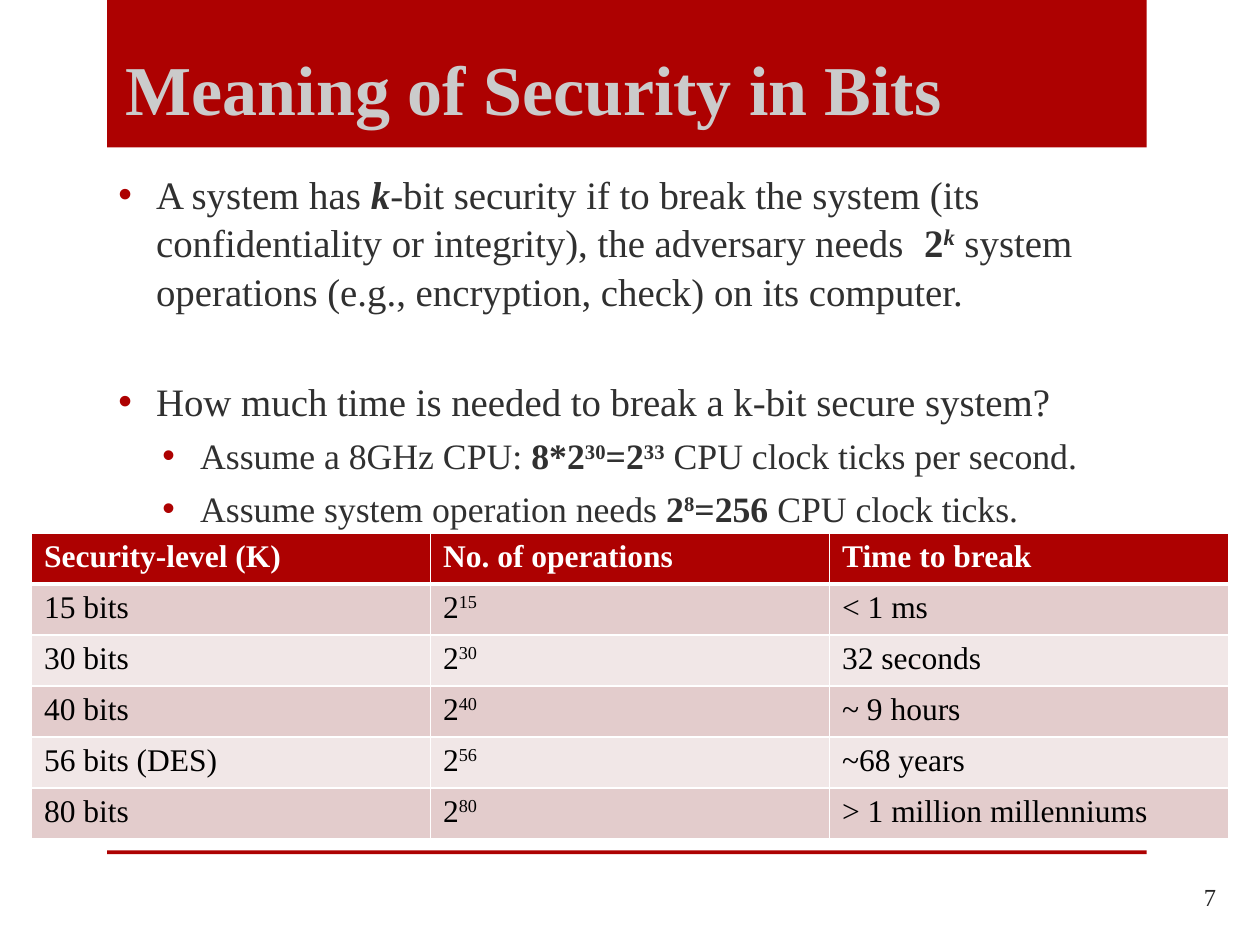
"""Build the slide on the meaning of security in bits."""
from lxml import etree
from pptx import Presentation
from pptx import util as u
from pptx.dml.color import RGBColor
from pptx.enum import shapes, text
from pptx.oxml import ns

RED, WHITE = "AD0101", "FFFFFF"
FONT = "Times New Roman"


def paint(target, color):
    if hasattr(target, "solid"):
        target.solid()
        target = target.fore_color
    else:
        target = target.color
    target.rgb = RGBColor.from_string(color)


def write(paragraph, runs, size, color, bold=False):
    for words, style in runs:
        run = paragraph.add_run()
        run.text = words
        formats = {"name": FONT, "size": u.Pt(size),
                   "bold": bold or "b" in style, "italic": "i" in style}
        for key, value in formats.items():
            setattr(run.font, key, value)
        paint(run.font, color)
        if "^" in style:
            run.font._element.set("baseline", "30000")


deck = Presentation()
deck.slide_width, deck.slide_height = u.Inches(10), u.Inches(7.5)
slide = deck.slides.add_slide(deck.slide_layouts[6])

for top, height in ((0, 1.17), (6.75, 0.03)):
    band = slide.shapes.add_shape(
        shapes.MSO_SHAPE.RECTANGLE, u.Inches(0.85), u.Inches(top),
        u.Inches(8.25), u.Inches(height))
    band.shadow.inherit = False
    paint(band.fill, RED)
    band.line.fill.background()

frames = []
for left, top, width, height, anchor in (
        (0.9, 0, 7.42, 1.08, text.MSO_ANCHOR.BOTTOM),
        (0.84, 1.33, 8.25, 2.83, text.MSO_ANCHOR.MIDDLE),
        (8.92, 6.92, 0.83, 0.4, text.MSO_ANCHOR.MIDDLE)):
    frame = slide.shapes.add_textbox(
        u.Inches(left), u.Inches(top), u.Inches(width), u.Inches(height)).text_frame
    frame.word_wrap = True
    frame.vertical_anchor = anchor
    frames.append(frame)
title, body, page = frames

write(title.paragraphs[0], [("Meaning of Security in Bits", "b")], 40, "CBCBCB")
write(page.paragraphs[0], [("7", "")], 14, "262626")
page.paragraphs[0].alignment = text.PP_ALIGN.RIGHT

body.margin_top = u.Inches(0.1)
points = [
    (0, 0, [("A system has ", ""), ("k", "bi"),
            ("-bit security if to break the system (its confidentiality or "
             "integrity), the adversary needs  ", ""), ("2", "b"), ("k", "bi^"),
            (" system operations (e.g., encryption, check) on its computer.", "")]),
    (0, 35.6, [("How much time is needed to break a k-bit secure system?", "")]),
    (1, 4.5, [("Assume a 8GHz CPU: ", ""), ("8*2", "b"), ("30", "b^"), ("=2", "b"),
              ("33", "b^"), (" CPU clock ticks per second.", "")]),
    (1, 4.5, [("Assume system operation needs ", ""), ("2", "b"), ("8", "b^"),
              ("=256 ", "b"), ("CPU clock ticks.", "")]),
]
for index, (level, gap, runs) in enumerate(points):
    point = body.add_paragraph() if index else body.paragraphs[0]
    point.level = level
    point.space_before = u.Pt(gap)
    point.line_spacing = 1.04
    layout = point._p.get_or_add_pPr()
    layout.set("marL", str(u.Inches((0.3, 0.65)[level])))
    layout.set("indent", str(u.Inches(-0.3)))
    bullet_color = etree.SubElement(layout, ns.qn("a:buClr"))
    etree.SubElement(bullet_color, ns.qn("a:srgbClr"), val=RED)
    etree.SubElement(layout, ns.qn("a:buFont"), typeface="Arial")
    etree.SubElement(layout, ns.qn("a:buChar"), char="•")
    write(point, runs, (22.2, 20.4)[level], "303030")

rows = [("Security-level (K)", "No. of operations", "Time to break")]
for bits, note, duration in ((15, "", "< 1 ms"), (30, "", "32 seconds"),
                             (40, "", "~ 9 hours"), (56, " (DES)", "~68 years"),
                             (80, "", "> 1 million millenniums")):
    rows.append((f"{bits} bits{note}", str(bits), duration))

times = slide.shapes.add_table(
    len(rows), 3, u.Inches(0.25), u.Inches(4.23), u.Inches(9.5), u.Inches(2.43)).table
for r, row in enumerate(rows):
    for c, words in enumerate(row):
        cell = times.cell(r, c)
        header = r == 0
        paint(cell.fill, RED if header else ("F1E7E7", "E3CCCC")[r % 2])
        runs = [("2", ""), (words, "^")] if c == 1 and not header else [(words, "")]
        write(cell.text_frame.paragraphs[0], runs, 18,
              WHITE if header else "000000", header)
        for position, side in enumerate("LRTB"):
            thick = (header and side == "B") or (r == 1 and side == "T")
            border = etree.Element(ns.qn(f"a:ln{side}"), w=str(u.Pt(3 if thick else 1)))
            border_fill = etree.SubElement(border, ns.qn("a:solidFill"))
            etree.SubElement(border_fill, ns.qn("a:srgbClr"), val=WHITE)
            cell._tc.get_or_add_tcPr().insert(position, border)

deck.save("out.pptx")
